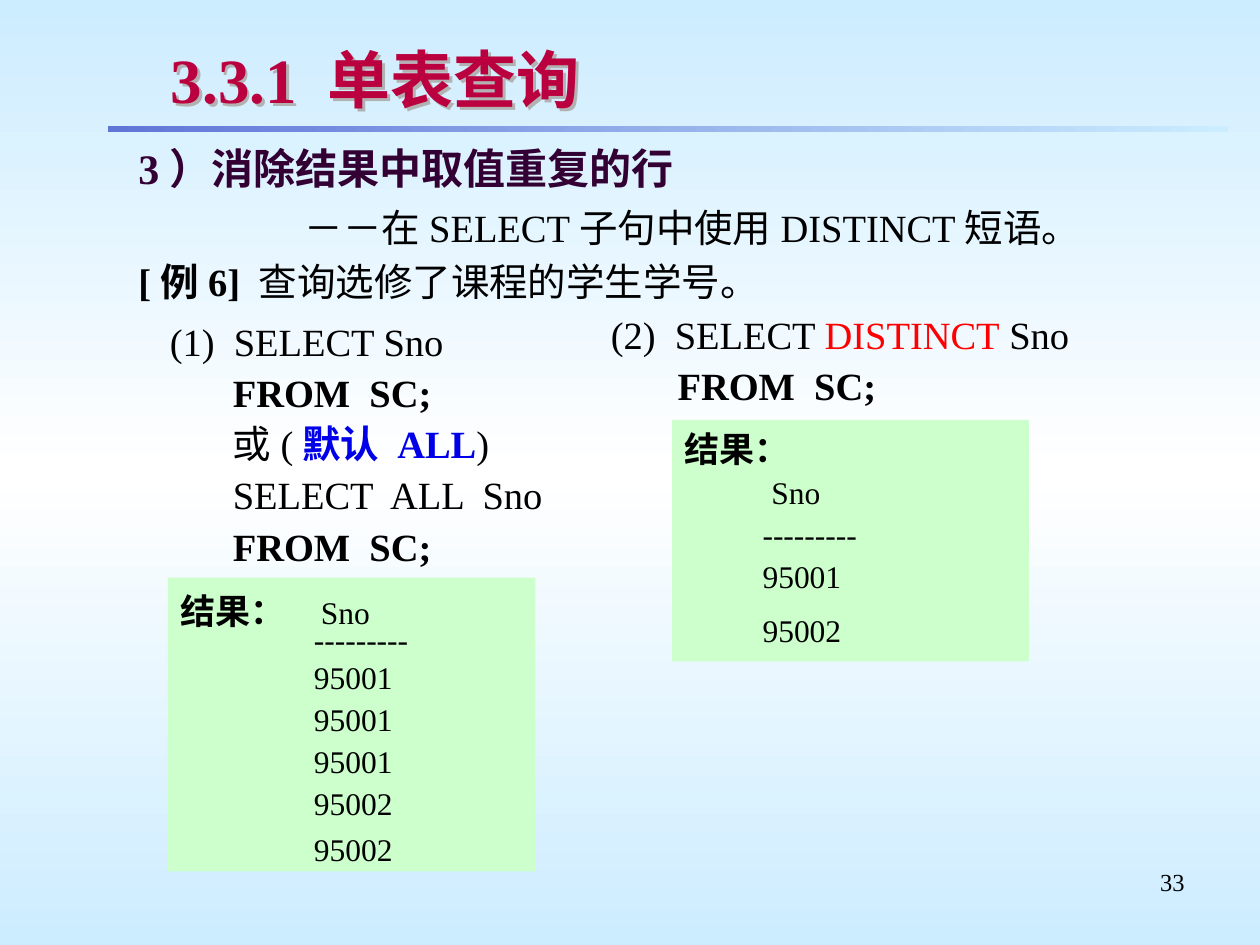
from lxml import etree
from pptx import Presentation
from pptx.dml.color import RGBColor
from pptx.enum.shapes import MSO_SHAPE as Shape
from pptx.enum.text import MSO_ANCHOR as Anchor, PP_ALIGN as Align
from pptx.oxml.ns import qn
from pptx.util import Inches, Pt

THEME = {
    "serif": "Times New Roman", "sans": "Karla",
    "ink": "000000", "title": "BA003E", "heading": "330033",
    "key": "0000E8", "alert": "FF0000", "panel": "CCFFCC", "shade": "B2B2B2",
    "sky": [(0, "CCECFF"), (50, "FFFFFF"), (100, "CCECFF")],
    "rule": [(0, "5F76D7"), (100, "CCECFF")],
    "title_size": 36, "heading_size": 24, "code_size": 22,
    "label_size": 20, "result_size": 18, "number_size": 14,
}
UNIT = 1 / 12  # grid step in inches: the slide is 120 columns by 90 rows
RULE_AT = (10.3, 12, 106.7, 0.6)


def span(text, size="code", color="ink", bold=False, font="serif"):
    return {"text": text, "size": THEME[size + "_size"], "color": THEME[color],
            "bold": bold, "font": THEME[font]}


def line(*spans, before=5.5, spacing=0.9, indent=0, hang=0, tab=None, align=Align.LEFT):
    return {"spans": spans, "indent": indent, "hang": hang, "tab": tab,
            "format": {"space_before": Pt(before), "line_spacing": spacing,
                       "alignment": align}}


def results(values, indent, last_before):
    """Rows of a query result; the last one stands a little apart."""
    gaps = [4.5] * (len(values) - 1) + [last_before]
    return [line(span(value, "result"), before=gap, indent=indent)
            for value, gap in zip(values, gaps)]


# Content
LABEL = span("结果：", "label", bold=True, font="sans")
FROM = span("FROM  SC;", bold=True)
DASHES = span("---------", "result")
SNO = span("Sno", "result")

BOXES = [
    {"at": (86, 82, 28, 6.25), "anchor": Anchor.TOP, "lines": [
        line(span("33", "number"), before=0, spacing=1, align=Align.RIGHT)]},
    {"at": (15.1, 3.5, 98.9, 8), "shadow": True, "lines": [
        line(span("3.3.1 单表查询", "title", "title", True), before=0, spacing=1)]},
    {"at": (6, 13, 103, 17.5), "anchor": Anchor.TOP, "lines": [
        line(span("3）消除结果中取值重复的行", "heading", "heading", True),
             before=4.5, spacing=1, indent=0.81, hang=-0.31),
        line(span("－－在SELECT子句中使用DISTINCT短语。"),
             before=6.4, spacing=1, indent=1.82),
        line(span("[例6] ", bold=True), span("查询选修了课程的学生学号。"),
             before=4.1, spacing=1, indent=0.81, hang=-0.31)]},
    {"at": (15, 30, 38, 25), "wrap": False, "lines": [
        line(span("(1)  SELECT Sno")),
        line(FROM, indent=0.5),
        line(span("或("), span("默认 ALL", color="key", bold=True), span(")"), indent=0.5),
        line(span("SELECT  ALL  Sno"), indent=0.5),
        line(FROM, indent=0.5)]},
    {"at": (16, 55, 35, 28), "fill": "panel", "lines": [
        line(LABEL, span("\t Sno", "result"), before=4.5, spacing=1.2, tab=1),
        line(DASHES, before=4.5, spacing=0.4, indent=1.06),
        *results(["95001", "95001", "95001", "95002", "95002"], 1.06, 7)]},
    {"at": (57, 29, 48, 11), "wrap": False, "lines": [
        line(span("(2)  SELECT "), span("DISTINCT", color="alert"), span(" Sno")),
        line(FROM, indent=0.53)]},
    {"at": (64, 40, 34, 23), "fill": "panel", "lines": [
        line(LABEL, before=5),
        line(SNO, before=4.5, indent=0.69),
        line(DASHES, before=4.5, indent=0.62),
        *results(["95001", "95002"], 0.62, 11.5)]},
]


def place(at):
    return [Inches(value * UNIT) for value in at]


def paint_gradient(fill, owner, stops, angle):
    fill.gradient()
    grad = owner.xpath(".//a:gradFill")[0]
    stop_list = grad.find(qn("a:gsLst"))
    for old in list(stop_list):
        stop_list.remove(old)
    for share, color in stops:
        stop = etree.SubElement(stop_list, qn("a:gs"), pos=str(share * 1000))
        etree.SubElement(stop, qn("a:srgbClr"), val=color)
    grad.find(qn("a:lin")).set("ang", str(angle * 60000))


def add_shadow(box):
    """On an unfilled box the shadow falls from its letters."""
    effects = etree.SubElement(box._element.spPr, qn("a:effectLst"))
    shadow = etree.SubElement(effects, qn("a:outerShdw"), dist="28400", dir="2700000")
    etree.SubElement(shadow, qn("a:srgbClr"), val=THEME["shade"])


def add_rectangle(page, at):
    box = page.shapes.add_shape(Shape.RECTANGLE, *place(at))
    box.shadow.inherit = False
    box.line.fill.background()
    return box


def write_line(para, item):
    for name, value in item["format"].items():
        setattr(para, name, value)
    props = para._p.get_or_add_pPr()
    props.set("marL", str(Inches(item["indent"])))
    props.set("indent", str(Inches(item["hang"])))
    if item["tab"]:
        tabs = etree.SubElement(props, qn("a:tabLst"))
        etree.SubElement(tabs, qn("a:tab"), pos=str(Inches(item["tab"])), algn="l")
    for part in item["spans"]:
        run = para.add_run()
        run.text = part["text"]
        for name, value in {"size": Pt(part["size"]), "bold": part["bold"],
                            "name": part["font"]}.items():
            setattr(run.font, name, value)
        run.font.color.rgb = RGBColor.from_string(part["color"])


def add_box(page, item):
    if "fill" in item:
        box = add_rectangle(page, item["at"])
        box.fill.solid()
        box.fill.fore_color.rgb = RGBColor.from_string(THEME[item["fill"]])
    else:
        box = page.shapes.add_textbox(*place(item["at"]))
    if item.get("shadow"):
        add_shadow(box)
    frame = box.text_frame
    frame.word_wrap = item.get("wrap", True)
    frame.vertical_anchor = item.get("anchor", Anchor.MIDDLE)
    for index, content in enumerate(item["lines"]):
        para = frame.add_paragraph() if index else frame.paragraphs[0]
        write_line(para, content)


def main():
    deck = Presentation()
    deck.slide_width, deck.slide_height = place((120, 90))
    page = deck.slides.add_slide(deck.slide_layouts[6])

    # Background and the rule under the title
    paint_gradient(page.background.fill, page._element, THEME["sky"], 90)
    rule = add_rectangle(page, RULE_AT)
    paint_gradient(rule.fill, rule._element, THEME["rule"], 0)

    # Texts and result panels
    for item in BOXES:
        add_box(page, item)
    deck.save("out.pptx")


if __name__ == "__main__":
    main()
